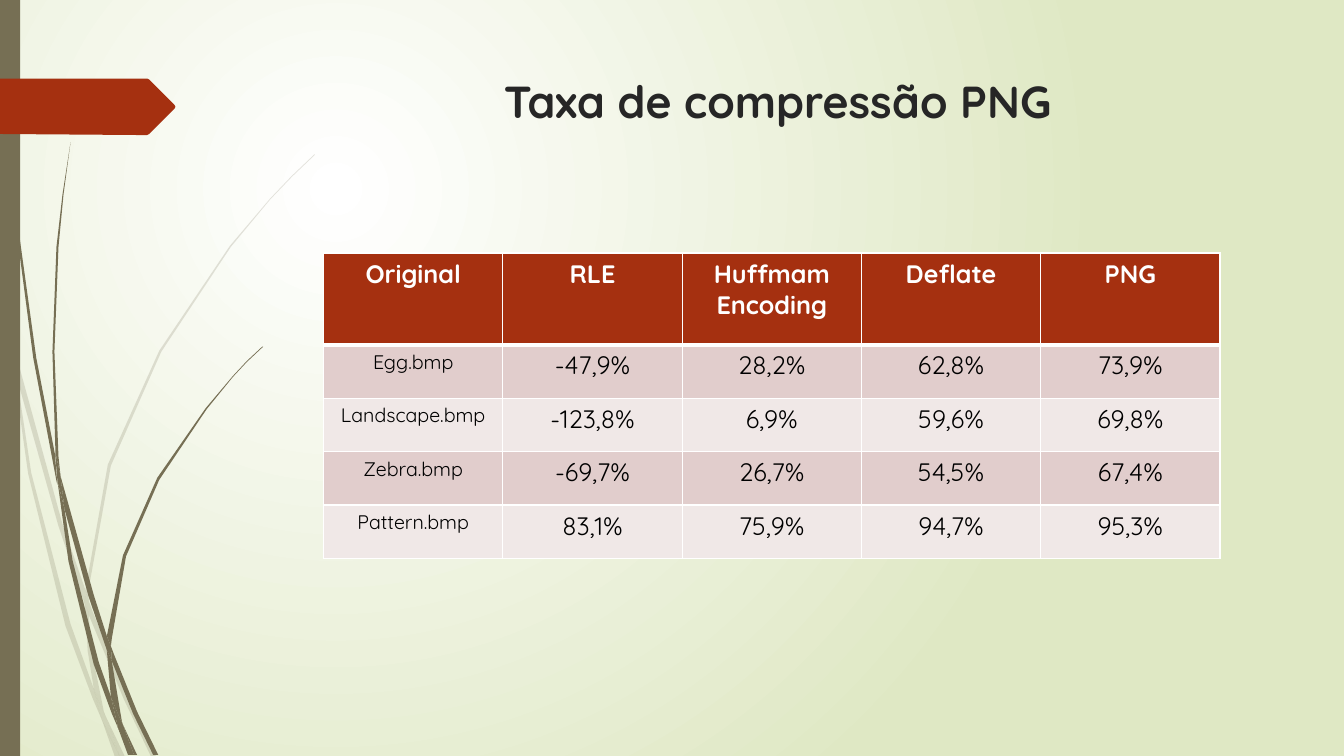
from lxml.etree import SubElement
from pptx import Presentation
from pptx.dml.color import RGBColor
from pptx.enum.shapes import MSO_SHAPE as Shape
from pptx.enum.text import MSO_ANCHOR as Anchor, PP_ALIGN as Align
from pptx.oxml import parse_xml
from pptx.oxml.ns import nsdecls, qn
from pptx.util import Inches, Pt

FONT = "Quicksand"
RUST, OLIVE, WHITE, BLACK = "A53010", "766F54", "FFFFFF", "000000"
INK, MINT = "262626", "DFE8C4"
BANDS = ["E1CDCC", "F0E8E7"]
TITLE = "Taxa de compressão PNG"
ROWS = [
    ["Original", "RLE", "Huffmam Encoding", "Deflate", "PNG"],
    ["Egg.bmp", "-47,9%", "28,2%", "62,8%", "73,9%"],
    ["Landscape.bmp", "-123,8%", "6,9%", "59,6%", "69,8%"],
    ["Zebra.bmp", "-69,7%", "26,7%", "54,5%", "67,4%"],
    ["Pattern.bmp", "83,1%", "75,9%", "94,7%", "95,3%"],
]
ROW_HEIGHTS = [0.91] + [0.53] * 4
TABLE_LEFT, TABLE_TOP, TABLE_WIDTH = 3.21, 2.51, 8.89

PALE_BLADES = [
    [(0.11, 3.5), (0.09, 3.22), (0, 2.82), (0, 2.99), (0.1, 3.44)],
    [(0.58, 5.22), (0.84, 5.99), (0.85, 5.86), (0.62, 5.2), (0.14, 3.45), (0.17, 3.76)],
    [(0.92, 6.07), (0.88, 5.96), (0.88, 6.1), (1.23, 6.94), (1.5, 7.51), (1.55, 7.51),
     (1.27, 6.92)],
    [(1.19, 7.51), (1.24, 7.51), (1.05, 7.11)],
    [(0.93, 6.83), (0.7, 6.19), (0.31, 4.69), (0.17, 3.76), (0.11, 3.5), (0.28, 4.7),
     (0.65, 6.21), (0.92, 6.93), (1.01, 7.14), (0.99, 7.07)],
    [(0.84, 5.99), (0.87, 6.46), (0.93, 6.83), (0.96, 6.92), (1.05, 7.11), (1.03, 7.06),
     (0.91, 6.46), (0.88, 6.1), (0.88, 6.08)],
    [(0.88, 5.84), (1.1, 4.62), (1.6, 3.49), (2.29, 2.45), (2.68, 1.98), (2.9, 1.75),
     (3.12, 1.54), (3.12, 1.53), (2.89, 1.75), (2.68, 1.97), (2.28, 2.44), (1.58, 3.48),
     (1.07, 4.61), (0.85, 5.84), (0.85, 5.86), (0.88, 5.96)],
    [(1.01, 7.14), (1.14, 7.51), (1.19, 7.51)],
    [(0.88, 6.08), (0.88, 6.1), (0.88, 5.96), (0.85, 5.86), (0.84, 5.99)],
    [(0.96, 6.92), (0.93, 6.83), (0.99, 7.07), (1.01, 7.14), (1.19, 7.51), (1.05, 7.11)],
]
DARK_BLADES = [
    [(0.07, 1.1), (0.17, 2.33), (0.33, 3.55), (0.56, 4.77), (0.57, 4.81), (0.55, 4.57),
     (0.55, 4.53), (0.36, 3.55), (0.19, 2.32), (0.08, 1.09), (0.05, 0.48), (0.04, 0),
     (0.03, 0), (0.04, 0.48)],
    [(0.88, 5.92), (1.06, 6.45), (1.06, 6.31), (0.93, 5.9), (0.6, 4.72), (0.64, 5.05)],
    [(1.13, 6.49), (1.1, 6.41), (1.11, 6.56), (1.32, 7.08), (1.52, 7.49), (1.57, 7.49),
     (1.36, 7.06)],
    [(1.1, 6.91), (0.98, 6.57), (0.72, 5.56), (0.64, 5.05), (0.57, 4.77), (0.68, 5.57),
     (0.93, 6.59), (1.11, 7.08), (1.17, 7.22), (1.16, 7.17)],
    [(0.6, 4.72), (0.58, 4.53), (0.54, 3.49), (0.58, 2.45), (0.63, 1.93), (0.7, 1.41),
     (0.62, 1.93), (0.56, 2.45), (0.52, 3.49), (0.55, 4.49)],
    [(1.33, 7.49), (1.36, 7.49), (1.22, 7.19)],
    [(0.57, 4.77), (0.64, 5.05), (0.6, 4.72), (0.55, 4.49), (0.55, 4.53)],
    [(1.11, 6.33), (1.25, 5.52), (1.58, 4.76), (2.05, 4.06), (2.31, 3.74), (2.45, 3.59),
     (2.61, 3.44), (2.6, 3.44), (2.45, 3.58), (2.31, 3.73), (2.04, 4.05), (1.56, 4.74),
     (1.22, 5.51), (1.06, 6.31), (1.1, 6.41)],
    [(1.17, 7.22), (1.27, 7.49), (1.31, 7.49)],
    [(1.06, 6.45), (1.1, 6.91), (1.16, 7.06), (1.22, 7.19), (1.21, 7.16), (1.11, 6.56),
     (1.09, 6.51)],
    [(1.06, 6.45), (1.09, 6.51), (1.11, 6.56), (1.1, 6.41), (1.06, 6.31)],
    [(1.16, 7.06), (1.1, 6.91), (1.16, 7.17), (1.17, 7.22), (1.3, 7.49), (1.33, 7.49),
     (1.22, 7.19)],
]
ARROW = [(1.73, 1.08), (1.48, 1.33), (1.46, 1.34), (1.36, 1.34), (0, 1.33), (0, 0.78),
         (1.46, 0.78), (1.48, 0.79), (1.73, 1.04), (1.74, 1.06)]


def rgb(value):
    return RGBColor.from_string(value)


def write(frame, text, size, color, bold=False):
    para = frame.paragraphs[0]
    para.alignment = Align.CENTER
    span = para.add_run()
    span.text = text
    span.font.name = FONT
    span.font.size = Pt(size)
    span.font.bold = bold
    span.font.color.rgb = rgb(color)


def paint(shape, color, alpha=None):
    shape.shadow.inherit = False
    shape.line.fill.background()
    shape.fill.solid()
    shape.fill.fore_color.rgb = rgb(color)
    if alpha:
        tint = shape.element.spPr.find(".//" + qn("a:srgbClr"))
        SubElement(tint, qn("a:alpha"), val=str(alpha * 1000))


def draw_outline(page, points, color, alpha=None):
    corners = [(Inches(x), Inches(y)) for x, y in points]
    builder = page.shapes.build_freeform(*corners[0])
    builder.add_line_segments(corners[1:], close=True)
    paint(builder.convert_to_shape(), color, alpha)


def set_borders(cell, widths):
    props = cell._tc.get_or_add_tcPr()
    for index, (side, width) in enumerate(widths.items()):
        props.insert(index, parse_xml(
            f'<a:ln{side} {nsdecls("a")} w="{Pt(width)}"><a:solidFill>'
            f'<a:srgbClr val="{WHITE}"/></a:solidFill></a:ln{side}>'))


def set_background(page):
    fill = page.background.fill
    fill.gradient()
    for stop, color, position in zip(fill.gradient_stops, [WHITE, MINT], [0, 1]):
        stop.color.rgb = rgb(color)
        stop.position = position
    gradient = page.element.find(".//" + qn("a:gradFill"))
    gradient.replace(gradient.find(qn("a:lin")), parse_xml(
        f'<a:path {nsdecls("a")} path="circle">'
        '<a:fillToRect l="50000" t="50000" r="100000" b="100000"/></a:path>'))


def add_title(page):
    title = page.shapes.title
    title.left, title.top = Inches(2.84), Inches(0.68)
    title.width, title.height = Inches(9.75), Inches(1.4)
    title.text_frame.vertical_anchor = Anchor.TOP
    write(title.text_frame, TITLE, 32, INK, bold=True)


def add_rates(page):
    table = page.shapes.add_table(
        len(ROWS), len(ROWS[0]), Inches(TABLE_LEFT), Inches(TABLE_TOP),
        Inches(TABLE_WIDTH), Inches(sum(ROW_HEIGHTS))).table
    for row, height in zip(table.rows, ROW_HEIGHTS):
        row.height = Inches(height)
    for r, values in enumerate(ROWS):
        header = r == 0
        for c, value in enumerate(values):
            cell = table.cell(r, c)
            cell.fill.solid()
            cell.fill.fore_color.rgb = rgb(RUST if header else BANDS[(r - 1) % 2])
            set_borders(cell, {"L": 1, "R": 1, "T": 3 if r == 1 else 1, "B": 3 if header else 1})
            write(cell.text_frame, value, 14 if c == 0 and not header else 18,
                  WHITE if header else BLACK, bold=header)


def main():
    deck = Presentation()
    deck.slide_width, deck.slide_height = Inches(13.33), Inches(7.5)
    page = deck.slides.add_slide(deck.slide_layouts[5])
    set_background(page)
    for blade in PALE_BLADES:
        draw_outline(page, blade, OLIVE, alpha=20)
    for blade in DARK_BLADES:
        draw_outline(page, blade, OLIVE)
    paint(page.shapes.add_shape(Shape.RECTANGLE, 0, 0, Inches(0.2), Inches(7.5)), OLIVE)
    draw_outline(page, ARROW, RUST)
    add_title(page)
    add_rates(page)
    deck.save("out.pptx")


if __name__ == "__main__":
    main()
